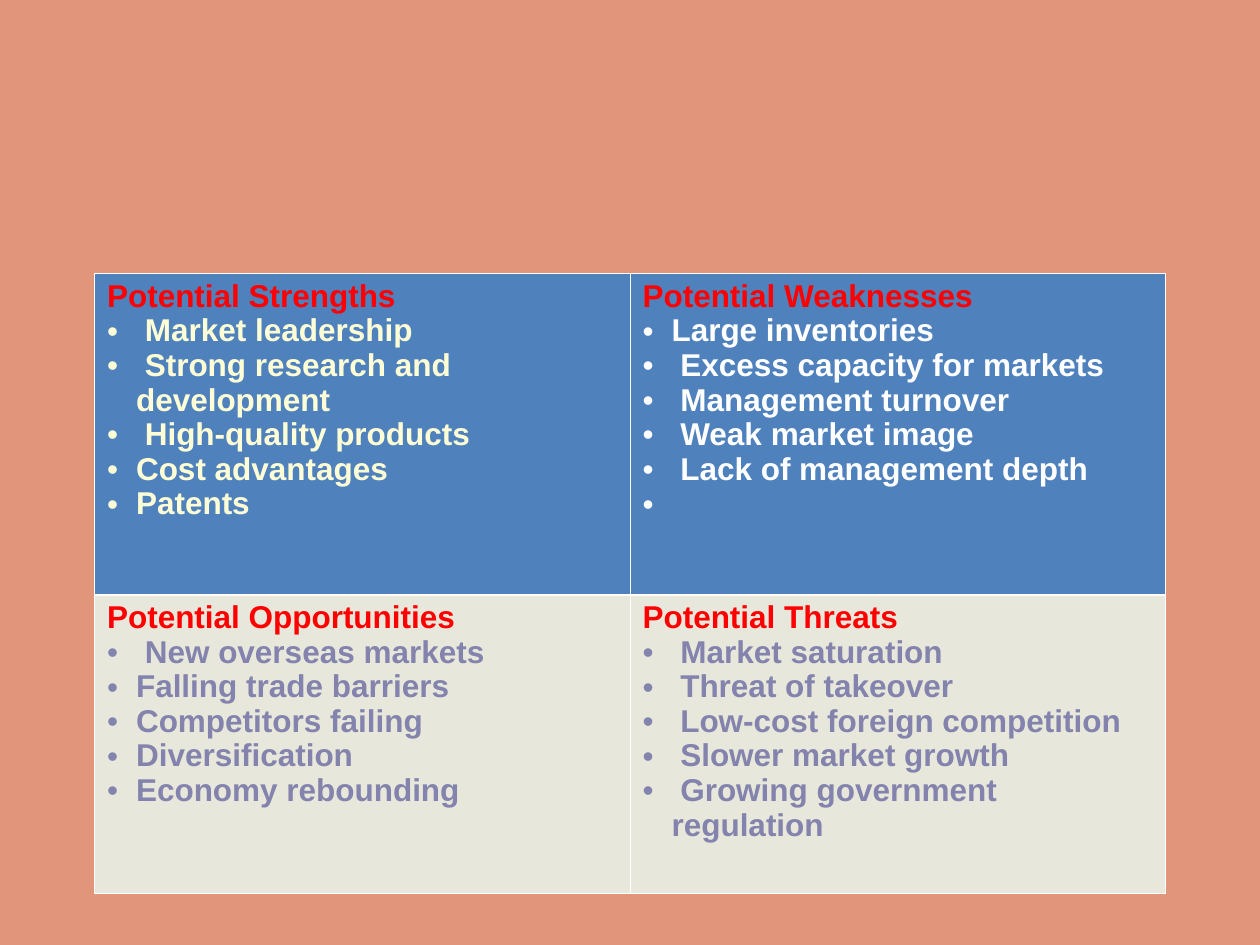
import pptx
import pptx.dml.color
import pptx.oxml
import pptx.oxml.ns
import pptx.util
from pptx.util import Inches

COLORS = {
    "background": "E1957A",
    "heading": "FF0000",
    "border": "FFFFFF",
    "internal": "4F81BD",
    "external": "E7E8DB",
    "strengths": "FEFED6",
    "weaknesses": "FFFFFF",
    "outlook": "8383AD",
}
TEXT_FORMAT = {"name": "Arial", "size": pptx.util.Pt(18), "bold": True}
THIN, THICK = 0.45, 1.47

# Each quadrant: heading, text colour, points
SWOT = [
    [
        ("Potential Strengths", "strengths",
         [" Market leadership", " Strong research and development",
          " High-quality products", "Cost advantages", "Patents"]),
        ("Potential Weaknesses", "weaknesses",
         ["Large inventories", " Excess capacity for markets",
          " Management turnover", " Weak market image",
          " Lack of management depth", " "]),
    ],
    [
        ("Potential Opportunities", "outlook",
         [" New overseas markets", "Falling trade barriers",
          "Competitors failing", "Diversification", "Economy rebounding"]),
        ("Potential Threats", "outlook",
         [" Market saturation", " Threat of takeover",
          " Low-cost foreign competition", " Slower market growth",
          " Growing government regulation"]),
    ],
]


def add_element(parent, xml):
    """Append an element given as XML text that uses the a: prefix."""
    declaration = " " + pptx.oxml.ns.nsdecls("a")
    tag_end = min(i for i in (xml.find(" "), xml.find(">")) if i > 0)
    parent.append(pptx.oxml.parse_xml(xml[:tag_end] + declaration + xml[tag_end:]))


def write_line(paragraph, text, color):
    paragraph.line_spacing = 0.98
    run = paragraph.add_run()
    run.text = text
    for attribute, value in TEXT_FORMAT.items():
        setattr(run.font, attribute, value)
    run.font.color.rgb = pptx.dml.color.RGBColor.from_string(COLORS[color])


deck = pptx.Presentation()
deck.slide_width, deck.slide_height = Inches(10), Inches(7.5)
slide = deck.slides.add_slide(deck.slide_layouts[6])
slide.background.fill.solid()
slide.background.fill.fore_color.rgb = pptx.dml.color.RGBColor.from_string(
    COLORS["background"])

matrix = slide.shapes.add_table(
    2, 2, Inches(0.75), Inches(2.17), Inches(8.5), Inches(4.92)).table
matrix.first_row = matrix.horz_banding = False
for row, height in zip(matrix.rows, (2.55, 2.37)):
    row.height = Inches(height)

for row_index, (quadrants, fill) in enumerate(zip(SWOT, ("internal", "external"))):
    borders = {
        "L": THIN,
        "R": THIN,
        "T": THICK if row_index == 1 else THIN,
        "B": THICK if row_index == 0 else THIN,
    }
    for column_index, (heading, color, points) in enumerate(quadrants):
        cell = matrix.cell(row_index, column_index)
        cell_properties = cell._tc.get_or_add_tcPr()
        for side, width in borders.items():
            add_element(
                cell_properties,
                f'<a:ln{side} w="{pptx.util.Pt(width)}"><a:solidFill>'
                f'<a:srgbClr val="{COLORS["border"]}"/></a:solidFill></a:ln{side}>')
        cell.fill.solid()
        cell.fill.fore_color.rgb = pptx.dml.color.RGBColor.from_string(COLORS[fill])

        write_line(cell.text_frame.paragraphs[0], heading, "heading")
        for point in points:
            paragraph = cell.text_frame.add_paragraph()
            bullet = paragraph._p.get_or_add_pPr()
            bullet.set("marL", str(Inches(0.23)))
            bullet.set("indent", str(-Inches(0.23)))
            add_element(bullet, f'<a:buClr><a:srgbClr val="{COLORS[color]}"/></a:buClr>')
            add_element(bullet, '<a:buFont typeface="Arial"/>')
            add_element(bullet, '<a:buChar char="•"/>')
            write_line(paragraph, point, color)

deck.save("out.pptx")
